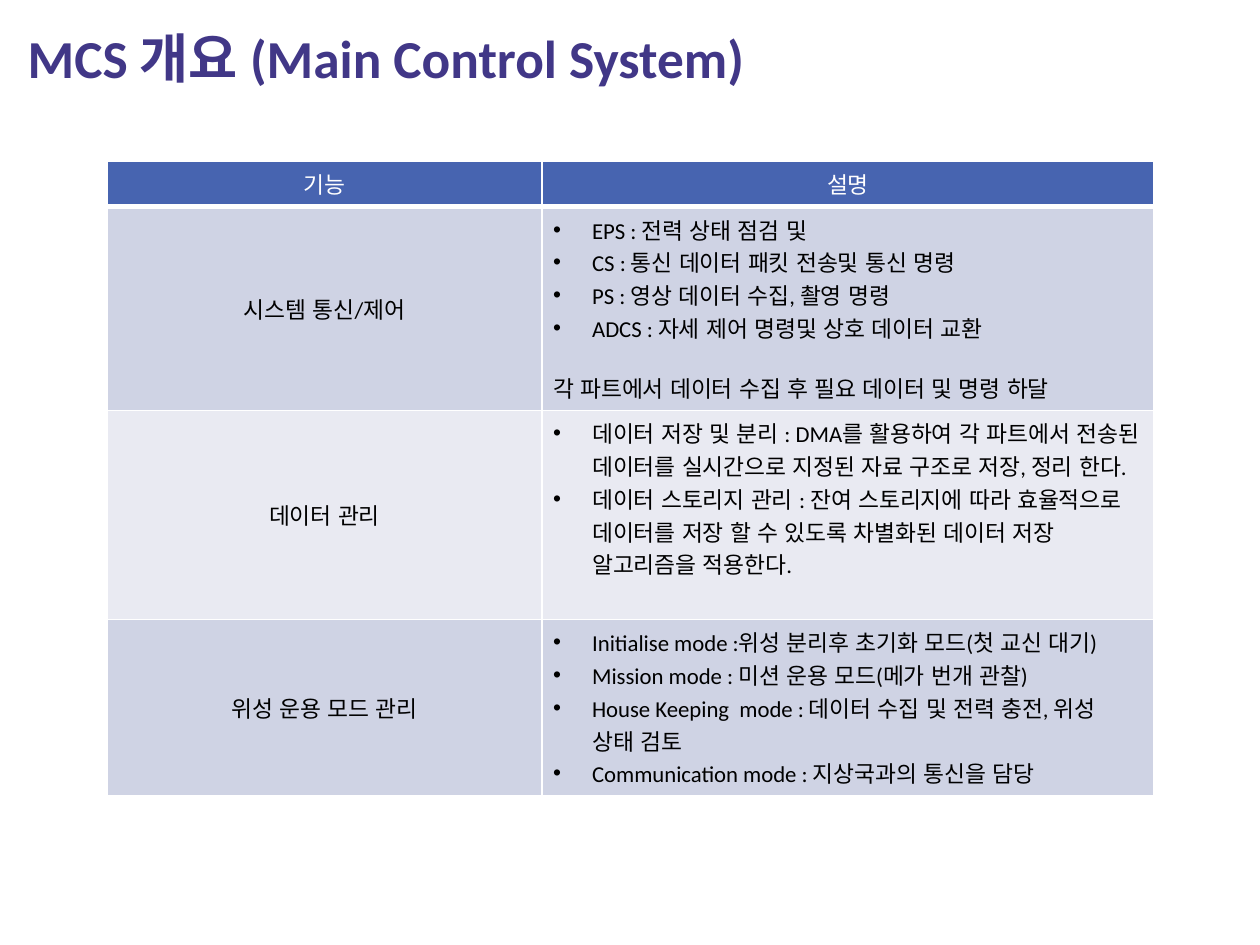
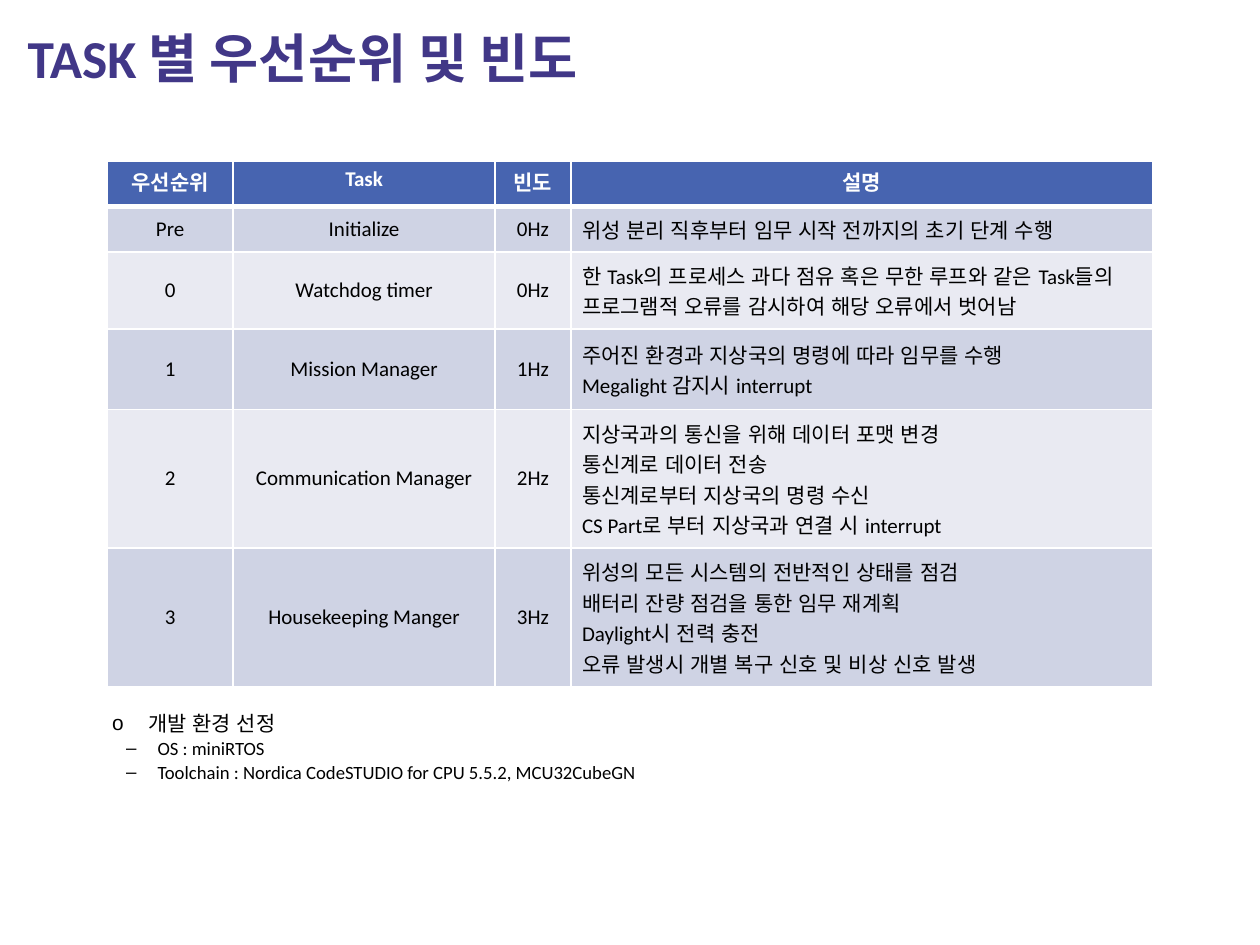
from lxml.etree import SubElement
from pptx import Presentation
from pptx.dml.color import RGBColor
from pptx.enum.lang import MSO_LANGUAGE_ID as Language
from pptx.enum.text import MSO_ANCHOR as Anchor, PP_ALIGN as Align
from pptx.oxml import parse_xml
from pptx.oxml.ns import nsdecls, qn
from pptx.util import Inches, Pt

INDIGO = RGBColor(0x41, 0x37, 0x87)
HEADER_BLUE = RGBColor(0x47, 0x64, 0xB0)
BAND_DARK = RGBColor(0xCF, 0xD3, 0xE4)
BAND_LIGHT = RGBColor(0xE9, 0xEA, 0xF2)
WHITE = RGBColor(0xFF, 0xFF, 0xFF)
BLACK = RGBColor(0, 0, 0)

LATIN_FONT = "Calibri"
KOREAN_FONT = "Noto Sans CJK KR"
TITLE_ONLY, TITLE_AND_CONTENT = 5, 1
TABLE_LEFT, TABLE_TOP = 0.85, 1.28

FUNCTIONS = [
    ["기능", "설명"],
    ["시스템 통신/제어",
     ["• EPS : 전력 상태 점검 및",
      "• CS : 통신 데이터 패킷 전송및 통신 명령",
      "• PS : 영상 데이터 수집, 촬영 명령",
      "• ADCS : 자세 제어 명령및 상호 데이터 교환",
      "각 파트에서 데이터 수집 후 필요 데이터 및 명령 하달"]],
    ["데이터 관리",
     ["• 데이터 저장 및 분리 : DMA를 활용하여 각 파트에서 전송된 데이터를 "
      "실시간으로 지정된 자료 구조로 저장, 정리 한다.",
      "• 데이터 스토리지 관리 : 잔여 스토리지에 따라 효율적으로 데이터를 저장 "
      "할 수 있도록 차별화된 데이터 저장 알고리즘을 적용한다."]],
    ["위성 운용 모드 관리",
     ["• Initialise mode :위성 분리후 초기화 모드(첫 교신 대기)",
      "• Mission mode : 미션 운용 모드(메가 번개 관찰)",
      "• House Keeping  mode : 데이터 수집 및 전력 충전, 위성 상태 검토",
      "• Communication mode : 지상국과의 통신을 담당"]],
]

TASKS = [
    ["우선순위", "Task", "빈도", "설명"],
    ["Pre", "Initialize", "0Hz", ["위성 분리 직후부터 임무 시작 전까지의 초기 단계 수행"]],
    ["0", "Watchdog timer", "0Hz",
     ["한 Task의 프로세스 과다 점유 혹은 무한 루프와 같은 Task들의 "
      "프로그램적 오류를 감시하여 해당 오류에서 벗어남"]],
    ["1", "Mission Manager", "1Hz",
     ["주어진 환경과 지상국의 명령에 따라 임무를 수행", "Megalight 감지시 interrupt"]],
    ["2", "Communication Manager", "2Hz",
     ["지상국과의 통신을 위해 데이터 포맷 변경",
      "통신계로 데이터 전송",
      "통신계로부터 지상국의 명령 수신",
      "CS Part로 부터 지상국과 연결 시 interrupt"]],
    ["3", "Housekeeping Manger", "3Hz",
     ["위성의 모든 시스템의 전반적인 상태를 점검",
      "배터리 잔량 점검을 통한 임무 재계획",
      "Daylight시 전력 충전",
      "오류 발생시 개별 복구 신호 및 비상 신호 발생"]],
]

ENVIRONMENT = [
    (0, "개발 환경 선정"),
    (1, "OS : miniRTOS"),
    (1, "Toolchain : Nordica CodeSTUDIO for CPU 5.5.2, MCU32CubeGN"),
]


class Deck:
    def __init__(self):
        self.file = Presentation()
        self.file.slide_width, self.file.slide_height = Inches(10), Inches(7.5)
        self.page = None

    def add_page(self, layout, title):
        self.page = self.file.slides.add_slide(self.file.slide_layouts[layout])
        box = self.page.shapes.title
        self.place(box, 0.13, 0.11, 5.92, 0.69, 0.09, 0.09)
        box.text_frame.text = title
        self.style(box.text_frame.paragraphs[0], 30.5, INDIGO, bold=True,
                   korean=LATIN_FONT)

    def place(self, box, left, top, width, height, side, edge):
        """Position a placeholder and set its side and top/bottom margins."""
        box.left, box.top = Inches(left), Inches(top)
        box.width, box.height = Inches(width), Inches(height)
        frame = box.text_frame
        frame.word_wrap = True
        frame.vertical_anchor = Anchor.TOP
        frame.margin_left = frame.margin_right = Inches(side)
        frame.margin_top = frame.margin_bottom = Inches(edge)

    def style(self, para, size, color, bold=False, align=Align.LEFT,
              korean=KOREAN_FONT):
        para.alignment = align
        for span in para.runs:
            font = span.font
            font.size, font.bold, font.name = Pt(size), bold, LATIN_FONT
            font.language_id = Language.KOREAN
            font.color.rgb = color
            SubElement(span._r.get_or_add_rPr(), qn("a:ea"), typeface=korean)

    def bullet(self, para, mark, margin, hanging):
        properties = para._p.get_or_add_pPr()
        properties.set("marL", str(Inches(margin)))
        properties.set("indent", str(-Inches(hanging)))
        SubElement(properties, qn("a:buFont"), typeface="Arial")
        SubElement(properties, qn("a:buChar"), char=mark)

    def bullet_list(self, items, left, top, width, height):
        box = self.page.placeholders[1]
        self.place(box, left, top, width, height, 0.07, 0.04)
        frame = box.text_frame
        frame.text = "\n".join(text for _, text in items)
        looks = [(11.9, "o", 0.29, 0.29), (10.7, "–", 0.36, 0.25)]
        for para, (level, _) in zip(frame.paragraphs, items):
            size, mark, margin, hanging = looks[level]
            para.level = level
            para.line_spacing = 0.9
            para.space_before = Pt(size * 0.2)
            self.style(para, size, BLACK)
            self.bullet(para, mark, margin, hanging)

    def table(self, rows, widths, heights, size, edge, bold_header=False,
              header_anchor=Anchor.MIDDLE, text_anchor=Anchor.MIDDLE):
        """Banded table; a list as cell content gives left-aligned lines."""
        grid = self.page.shapes.add_table(
            len(rows), len(widths), Inches(TABLE_LEFT), Inches(TABLE_TOP),
            Inches(sum(widths)), Inches(sum(heights))).table
        for column, width in zip(grid.columns, widths):
            column.width = Inches(width)
        for row, height in zip(grid.rows, heights):
            row.height = Inches(height)
        for r, row in enumerate(rows):
            fill = HEADER_BLUE if r == 0 else BAND_DARK if r % 2 else BAND_LIGHT
            for c, content in enumerate(row):
                cell = grid.cell(r, c)
                is_list = isinstance(content, list)
                cell.margin_left = Inches(0.09)
                cell.margin_right = Inches(0.12 if is_list else 0.09)
                cell.margin_top = cell.margin_bottom = Inches(edge)
                cell.vertical_anchor = (header_anchor if r == 0 else
                                        text_anchor if is_list else Anchor.MIDDLE)
                cell.fill.solid()
                cell.fill.fore_color.rgb = fill
                self.borders(cell, bottom=3 if r == 0 else 1)
                self.fill_cell(cell, content if is_list else [content], size,
                               WHITE if r == 0 else BLACK, bold_header and r == 0,
                               Align.LEFT if is_list else Align.CENTER)

    def fill_cell(self, cell, lines, size, color, bold, align):
        cell.text_frame.text = "\n".join(line.removeprefix("• ") for line in lines)
        after_bullet = False
        for para, line in zip(cell.text_frame.paragraphs, lines):
            self.style(para, size, color, bold, align)
            is_bullet = line.startswith("• ")
            if is_bullet:
                self.bullet(para, "•", 0.31, 0.31)
            elif after_bullet:
                para.space_before = Pt(size * 1.2)
            after_bullet = is_bullet

    def borders(self, cell, bottom):
        properties = cell._tc.get_or_add_tcPr()
        sides = [("L", 1), ("R", 1), ("T", 1), ("B", bottom)]
        for index, (side, width) in enumerate(sides):
            properties.insert(index, parse_xml(
                f'<a:ln{side} {nsdecls("a")} w="{Pt(width)}"><a:solidFill>'
                f'<a:srgbClr val="{WHITE}"/></a:solidFill></a:ln{side}>'))


def main():
    deck = Deck()

    deck.add_page(TITLE_ONLY, "MCS 개요 (Main Control System)")
    deck.table(FUNCTIONS, [3.45, 4.86], [0.31, 1.37, 1.37, 1.16], size=13,
               edge=0.05, text_anchor=Anchor.TOP)

    deck.add_page(TITLE_AND_CONTENT, "TASK 별 우선순위 및 빈도")
    deck.table(TASKS, [1, 2.08, 0.6, 4.62], [0.36, 0.36, 0.61, 0.64, 1.1, 1.1],
               size=12, edge=0.04, bold_header=True, header_anchor=Anchor.TOP)
    deck.bullet_list(ENVIRONMENT, 0.82, 5.62, 4.41, 0.87)

    deck.file.save("out.pptx")


if __name__ == "__main__":
    main()
